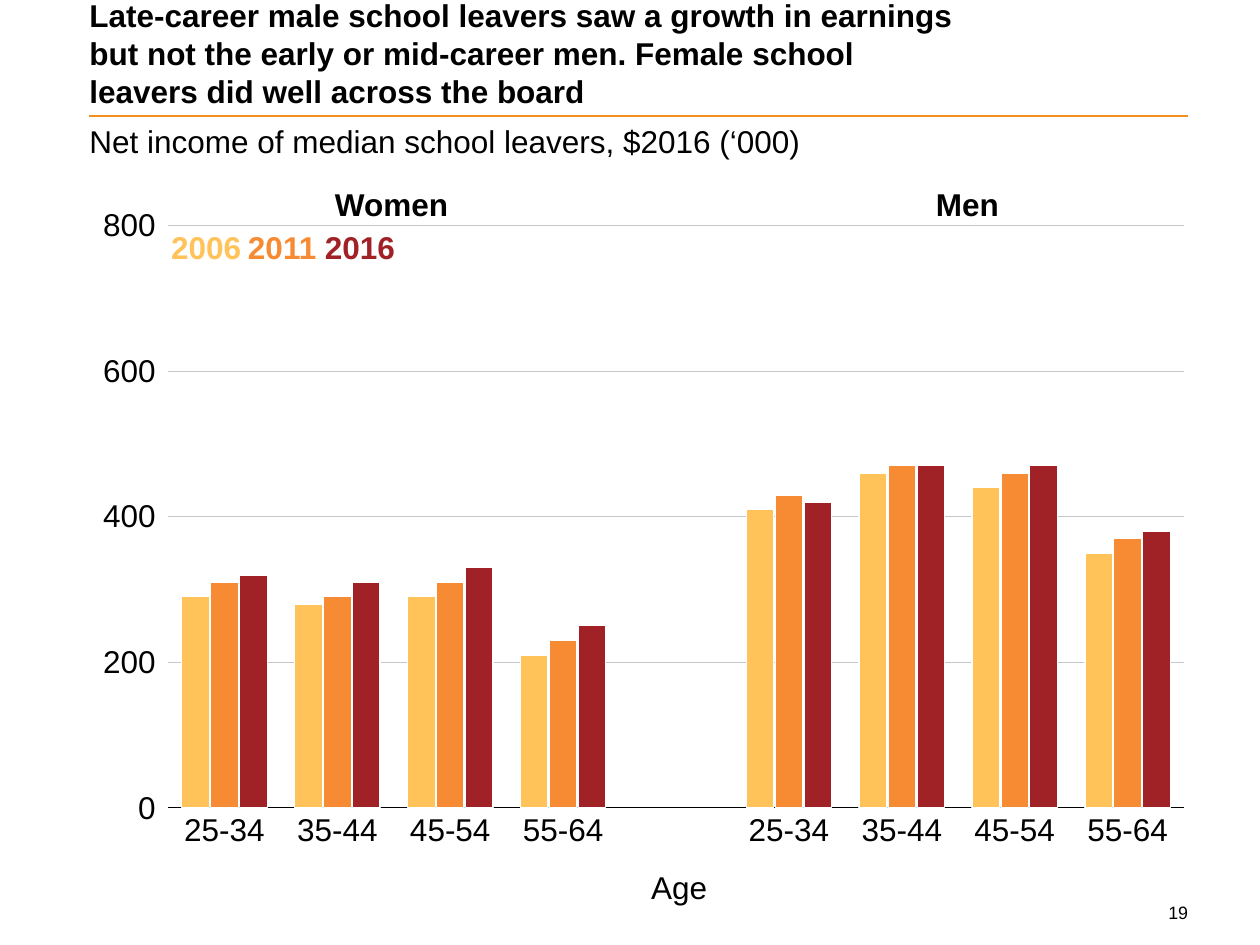
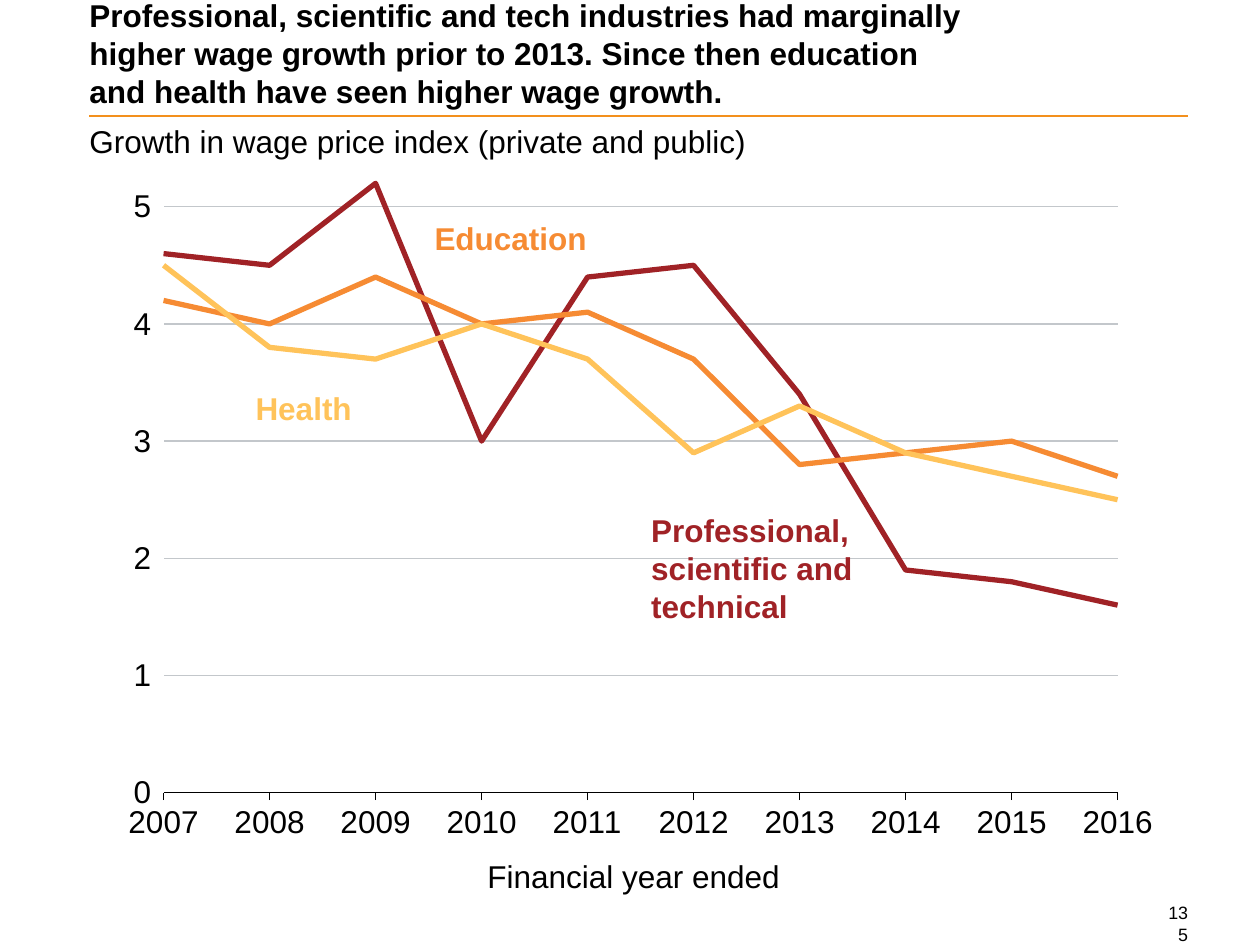
from lxml import etree
from pptx import Presentation
from pptx.chart.data import CategoryChartData
from pptx.dml.color import RGBColor
from pptx.enum.chart import XL_CHART_TYPE as ChartType, XL_TICK_MARK as Tick
from pptx.enum.shapes import MSO_CONNECTOR
from pptx.enum.text import MSO_ANCHOR, MSO_AUTO_SIZE, PP_ALIGN
from pptx.oxml.ns import qn
from pptx.util import Inches, Pt

BLACK, GRID, RULE = "000000", "C3C7CB", "F3901D"
YELLOW, ORANGE, RED = "FFC35A", "F68B33", "A02226"
LEFT, RIGHT = 7.1, 94.3  # page margins, % of slide width


def rgb(code):
    return RGBColor.from_string(code)


class Deck:
    """House style and current slide; lengths are % of slide width and height."""

    font, size = "Arial", 18

    def __init__(self):
        self.prs = Presentation()
        self.prs.slide_width, self.prs.slide_height = Inches(10), Inches(7.5)

    def box(self, x, y, w, h):
        width, height = self.prs.slide_width, self.prs.slide_height
        return [round(share * full / 100) for share, full in
                ((x, width), (y, height), (w, width), (h, height))]

    def style(self, font, color=BLACK, bold=False, size=None):
        font.name, font.size, font.bold = self.font, Pt(size or self.size), bold
        font.color.rgb = rgb(color)

    def stroke(self, line, color, width=0.75):
        line.color.rgb, line.width = rgb(color), Pt(width)

    def set_text(self, sp, text, color=BLACK, bold=False, size=None,
                 align=PP_ALIGN.LEFT, wrap=True, flush=False):
        tf = sp.text_frame
        tf.text, tf.word_wrap, tf.auto_size = text, wrap, MSO_AUTO_SIZE.NONE
        if flush:
            tf.margin_left = tf.margin_top = tf.margin_right = tf.margin_bottom = 0
        for p in tf.paragraphs:
            p.alignment, p.space_before = align, Pt(0)
            self.style(p.font, color, bold, size)
        return tf

    def slide(self, title, subtitle, number):
        self.s = self.prs.slides.add_slide(self.prs.slide_layouts[1])
        self.rule()
        # Title and subtitle placeholders
        head, body = self.s.shapes.title, self.s.placeholders[1]
        head.left, head.top, head.width, head.height = self.box(LEFT, -0.53, 69.8, 12.13)
        body.left, body.top, body.width, body.height = self.box(LEFT, 12.93, 87.3, 4.13)
        self.set_text(head, title, bold=True, flush=True).vertical_anchor = MSO_ANCHOR.BOTTOM
        p = self.set_text(body, subtitle, flush=True).paragraphs[0]
        pPr = p._p.get_or_add_pPr()
        pPr.set("marL", "0")
        pPr.set("indent", "0")
        pPr.find(qn("a:spcBef")).addnext(etree.Element(qn("a:buNone")))
        # Page number
        sp = self.s.shapes.add_textbox(*self.box(RIGHT - 1.7, 95.47, 1.7, 2.27))
        self.set_text(sp, number, size=10.2, align=PP_ALIGN.RIGHT, flush=True)

    def rule(self):
        x, y, w, _ = self.box(LEFT, 12.27, RIGHT - LEFT, 0)
        line = self.s.shapes.add_connector(MSO_CONNECTOR.STRAIGHT, x, y, x + w, y)
        self.stroke(line.line, RULE, 1.5)
        etree.SubElement(line._element.spPr, qn("a:effectLst"))

    def label(self, text, x, y, w, h=5.33, color=BLACK, bold=True):
        sp = self.s.shapes.add_textbox(*self.box(x, y, w, h))
        self.set_text(sp, text, color, bold, wrap=False)

    def chart(self, kind, height, cats, series, top, step, plot):
        data = CategoryChartData()
        data.categories = cats
        for i, (_, values) in enumerate(series, 1):
            data.add_series(f"Series {i}", values)
        frame = self.s.shapes.add_chart(kind, *self.box(6.1, 17.07, 89.4, height), data)
        chart = frame.chart
        chart.has_legend = chart.has_title = False
        self.style(chart.font)
        # Axes
        cat, val = chart.category_axis, chart.value_axis
        val.minimum_scale, val.maximum_scale, val.major_unit = 0, top, step
        val.has_major_gridlines = True
        self.stroke(val.major_gridlines.format.line, GRID)
        val.format.line.fill.background()
        self.stroke(cat.format.line, BLACK)
        cat.has_major_gridlines = False
        for axis in (cat, val):
            axis.major_tick_mark, axis.minor_tick_mark = Tick.OUTSIDE, Tick.NONE
            self.style(axis.tick_labels.font)
        self.place_plot(chart, plot)
        # Series
        chart.plots[0].vary_by_categories = False
        for ser, (color, _) in zip(chart.plots[0].series, series):
            if kind == ChartType.LINE:
                ser.smooth = False
                self.stroke(ser.format.line, color, 3)
            else:
                ser.format.fill.solid()
                ser.format.fill.fore_color.rgb = rgb(color)
                self.stroke(ser.format.line, "FFFFFF")
        return chart

    def place_plot(self, chart, plot):
        area = chart._chartSpace.chart.plotArea
        for old in area.findall(qn("c:layout")):
            area.remove(old)
        layout = etree.Element(qn("c:layout"))
        manual = etree.SubElement(layout, qn("c:manualLayout"))
        settings = [("layoutTarget", "inner"), ("xMode", "edge"), ("yMode", "edge"),
                    *zip("xywh", plot)]
        for tag, value in settings:
            etree.SubElement(manual, qn(f"c:{tag}")).set("val", str(value))
        area.insert(0, layout)

    def start_on_axis(self, chart):
        axis = chart.value_axis._element
        for old in axis.findall(qn("c:crossBetween")):
            axis.remove(old)
        cross = etree.Element(qn("c:crossBetween"))
        cross.set("val", "midCat")
        axis.find(qn("c:crosses")).addnext(cross)


def earnings_slide(deck):
    deck.slide("Late-career male school leavers saw a growth in earnings but not the "
               "early or mid-career men. Female school leavers did well across the board",
               "Net income of median school leavers, $2016 (‘000)", "19")
    ages = ["25-34", "35-44", "45-54", "55-64"]
    chart = deck.chart(
        ChartType.COLUMN_CLUSTERED, 74.13, ages + [""] + ages,
        [(YELLOW, [290, 280, 290, 210, None, 410, 460, 440, 350]),
         (ORANGE, [310, 290, 310, 230, None, 430, 470, 460, 370]),
         (RED, [320, 310, 330, 250, None, 420, 470, 470, 380])],
        top=800, step=200, plot=(0.081, 0.092, 0.902, 0.831))
    chart.category_axis.major_tick_mark = Tick.NONE
    chart.plots[0].gap_width, chart.plots[0].overlap = 100, -5
    # Group headings, axis title and year key
    deck.label("Women", 25.6, 18.93, 11.1)
    deck.label("Men", 73.3, 18.93, 7.1)
    deck.label("Age", 50.7, 91.2, 6.5, bold=False)
    for i, (year, color) in enumerate([("2006", YELLOW), ("2011", ORANGE), ("2016", RED)]):
        deck.label(year, 12.6 + 6.1 * i, 23.47, 7.6, color=color)


def wages_slide(deck):
    deck.slide("Professional, scientific and tech industries had marginally higher wage "
               "growth prior to 2013. Since then education and health have seen higher "
               "wage growth.",
               "Growth in wage price index (private and public)", "135")
    chart = deck.chart(
        ChartType.LINE, 72.8, [str(year) for year in range(2007, 2017)],
        [(RED, [4.6, 4.5, 5.2, 3, 4.4, 4.5, 3.4, 1.9, 1.8, 1.6]),
         (ORANGE, [4.2, 4, 4.4, 4, 4.1, 3.7, 2.8, 2.9, 3, 2.7]),
         (YELLOW, [4.5, 3.8, 3.7, 4, 3.7, 2.9, 3.3, 2.9, 2.7, 2.5])],
        top=5.2, step=1, plot=(0.077, 0.032, 0.847, 0.886))
    deck.start_on_axis(chart)
    chart.value_axis.tick_labels.number_format = "0"
    chart.value_axis.tick_labels.number_format_is_linked = False
    # Line names and axis title
    deck.label("Professional,\nscientific and\ntechnical", 50.7, 53.47, 18.1, 13.47, RED)
    deck.label("Health", 19.3, 40.53, 9.7, color=YELLOW)
    deck.label("Education", 33.5, 22.53, 14.2, color=ORANGE)
    deck.label("Financial year ended", 37.7, 90, 25.4, bold=False)


def main():
    deck = Deck()
    earnings_slide(deck)
    wages_slide(deck)
    deck.prs.save("out.pptx")


if __name__ == "__main__":
    main()
